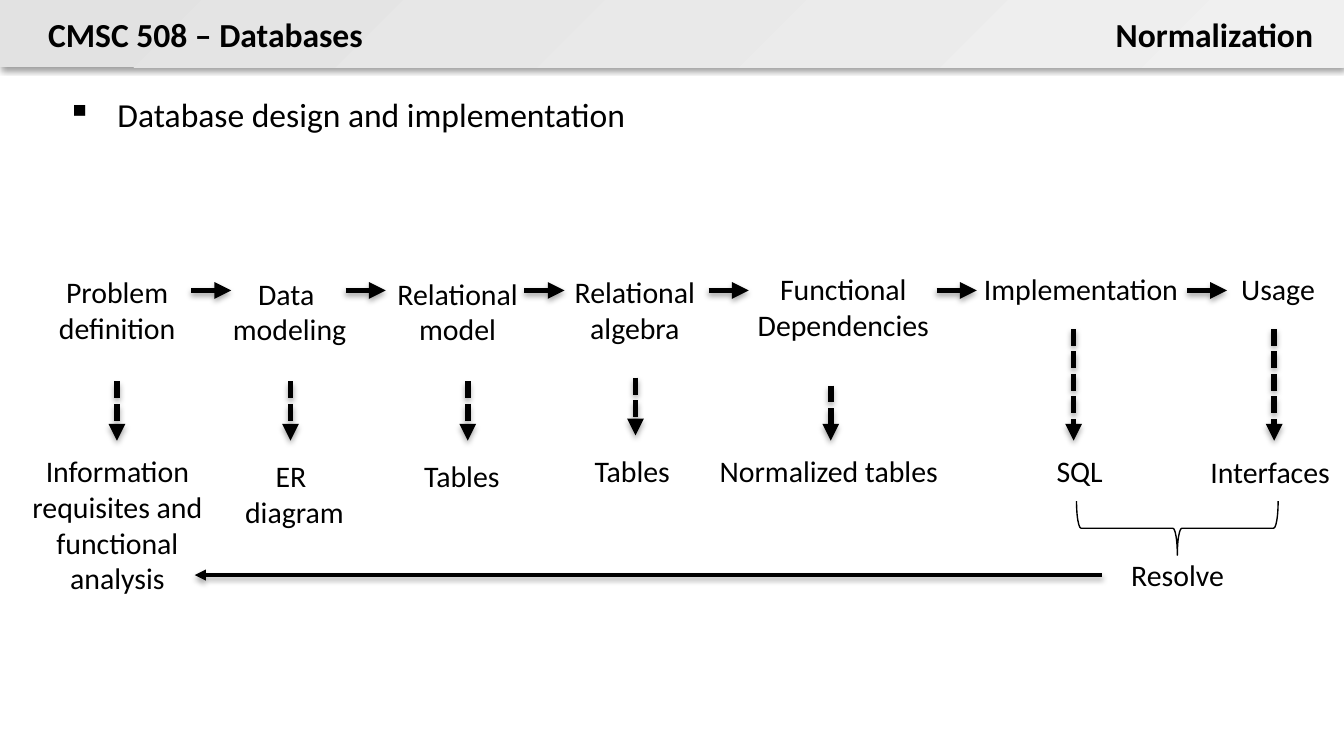
from typing import Any, NamedTuple

from lxml.etree import SubElement
from pptx import Presentation
from pptx.dml.color import RGBColor
from pptx.enum.dml import MSO_LINE_DASH_STYLE as Dash
from pptx.enum.shapes import MSO_CONNECTOR_TYPE as ConnectorType
from pptx.enum.shapes import MSO_SHAPE as Preset
from pptx.enum.text import MSO_ANCHOR as Anchor
from pptx.enum.text import PP_ALIGN as Align
from pptx.oxml.ns import qn
from pptx.util import Cm, Pt

BLACK = "000000"
FLOW_Y = 5.49
FLOW_LENGTH = 0.76


class Label(NamedTuple):
    text: str
    left: float
    top: float
    width: float
    height: float
    wrap: bool = False
    size: int = 16
    bold: bool = False
    align: Align = Align.CENTER


class Arrow(NamedTuple):
    start_x: float
    start_y: float
    end_x: float
    end_y: float
    weight: float = 3
    dashed: bool = False


HEADINGS = [
    Label("CMSC 508 – Databases", 0.66, 0.13, 6.53, 1.02, size=18, bold=True, align=Align.LEFT),
    Label("Normalization", 20.8, 0.13, 4.27, 1.02, size=18, bold=True, align=Align.RIGHT),
]
TOPIC = Label("Database design and implementation", 0, 1.27, 25.4, 1.27,
              wrap=True, size=18, align=Align.LEFT)
STAGES = [
    Label("Problem\ndefinition", 0.69, 5.05, 3.05, 1.8, wrap=True),
    Label("Data \vmodeling", 4.14, 5.08, 2.67, 1.63),
    Label("Relational\vmodel", 7.24, 5.08, 2.82, 1.63),
    Label("Relational\valgebra", 10.59, 5.05, 2.82, 1.63),
    Label("Functional\vDependencies", 14.05, 5, 3.78, 1.63),
    Label("Implementation", 18.08, 5, 4.7, 1.04),
    Label("Usage", 23.09, 5, 2.13, 1.04),
]
RESULTS = [
    Label("Information requisites and functional analysis", -0.08, 8.43, 4.6, 3, wrap=True),
    Label("ER \vdiagram", 4.37, 8.53, 2.39, 1.63),
    Label("Tables", 7.65, 8.53, 2.16, 1.04),
    Label("Tables", 10.87, 8.43, 2.16, 1.04),
    Label("Normalized tables", 13.06, 8.43, 5.21, 1.04),
    Label("SQL", 19.63, 8.43, 1.55, 1.04),
    Label("Interfaces", 22.53, 8.46, 2.95, 0.94, wrap=True),
    Label("Resolve", 21.11, 10.39, 2.29, 0.94),
]
FLOW_STARTS = [3.61, 6.53, 9.91, 13.39, 17.7, 22.43]
DROPS = [
    (2.21, 7.21, 8.33), (5.49, 7.21, 8.33), (8.84, 7.21, 8.33), (12.01, 7.14, 8.23),
    (15.7, 7.29, 8.33), (20.29, 6.22, 8.33), (24.08, 6.22, 8.33),
]
FEEDBACK = Arrow(20.83, 10.87, 3.68, 10.87, weight=2)


def color(value: str) -> RGBColor:
    return RGBColor.from_string(value)


def apply(target: Any, values: dict[str, Any]) -> None:
    for name, value in values.items():
        setattr(target, name, value)


def add_shadow(shape: Any, opacity: int, distance: float) -> None:
    effects = SubElement(shape._element.spPr, qn("a:effectLst"))
    shadow = SubElement(effects, qn("a:outerShdw"), blurRad=str(Pt(3.1)),
                        dist=str(Pt(distance)), dir="5400000", rotWithShape="0")
    tint = SubElement(shadow, qn("a:srgbClr"), val=BLACK)
    SubElement(tint, qn("a:alpha"), val=str(opacity * 1000))


def add_header_bar(slide: Any) -> None:
    shape = slide.shapes.add_shape(Preset.RECTANGLE, 0, 0, Cm(25.4), Cm(1.27))
    shape.fill.gradient()
    shape.fill.gradient_angle = 315
    for stop, value, position in zip(shape.fill.gradient_stops, ("E2E2E2", "F0F0F0"), (0, 1)):
        apply(stop, {"position": position})
        stop.color.rgb = color(value)
    shape.line.fill.background()
    add_shadow(shape, 38, 1.6)


def add_label(slide: Any, label: Label) -> Any:
    box = slide.shapes.add_textbox(Cm(label.left), Cm(label.top), Cm(label.width), Cm(label.height))
    frame = box.text_frame
    apply(frame, {"text": label.text, "word_wrap": label.wrap, "vertical_anchor": Anchor.TOP})
    for paragraph in frame.paragraphs:
        paragraph.alignment = label.align
        for run in paragraph.runs:
            apply(run.font, {"name": "Calibri", "size": Pt(label.size), "bold": label.bold})
            run.font.color.rgb = color(BLACK)
    return box


def add_topic(slide: Any) -> None:
    frame = add_label(slide, TOPIC).text_frame
    apply(frame, {"margin_left": Cm(1.27), "margin_top": Cm(0.51),
                  "margin_right": Cm(1.27), "margin_bottom": 0})
    paragraph = frame.paragraphs[0]
    paragraph.space_after = Pt(10)
    properties = paragraph._p.get_or_add_pPr()
    properties.set("marL", str(Cm(0.95)))
    properties.set("indent", str(-Cm(0.95)))
    SubElement(properties, qn("a:buChar"), char="▪")


def add_arrow(slide: Any, arrow: Arrow) -> None:
    connector = slide.shapes.add_connector(
        ConnectorType.STRAIGHT, Cm(arrow.start_x), Cm(arrow.start_y),
        Cm(arrow.end_x), Cm(arrow.end_y))
    connector.line.width = Pt(arrow.weight)
    connector.line.color.rgb = color(BLACK)
    if arrow.dashed:
        connector.line.dash_style = Dash.SQUARE_DOT
    SubElement(connector.line._get_or_add_ln(), qn("a:tailEnd"), type="triangle")
    add_shadow(connector, 35, 1.8)


def add_brace(slide: Any) -> None:
    shape = slide.shapes.add_shape(Preset.RIGHT_BRACE, Cm(21.74), Cm(8.08), Cm(1.02), Cm(3.81))
    shape.rotation = 90
    shape.shadow.inherit = False
    shape.fill.background()
    shape.line.width = Pt(0.75)
    shape.line.color.rgb = color(BLACK)


def main() -> None:
    presentation = Presentation()
    apply(presentation, {"slide_width": Cm(25.4), "slide_height": Cm(14.29)})
    slide = presentation.slides.add_slide(presentation.slide_layouts[6])
    add_header_bar(slide)
    add_topic(slide)
    for label in HEADINGS + STAGES + RESULTS:
        add_label(slide, label)
    flow = [Arrow(x, FLOW_Y, x + FLOW_LENGTH, FLOW_Y) for x in FLOW_STARTS]
    drops = [Arrow(x, top, x, bottom, dashed=True) for x, top, bottom in DROPS]
    for arrow in flow + drops + [FEEDBACK]:
        add_arrow(slide, arrow)
    add_brace(slide)
    presentation.save("out.pptx")


if __name__ == "__main__":
    main()
